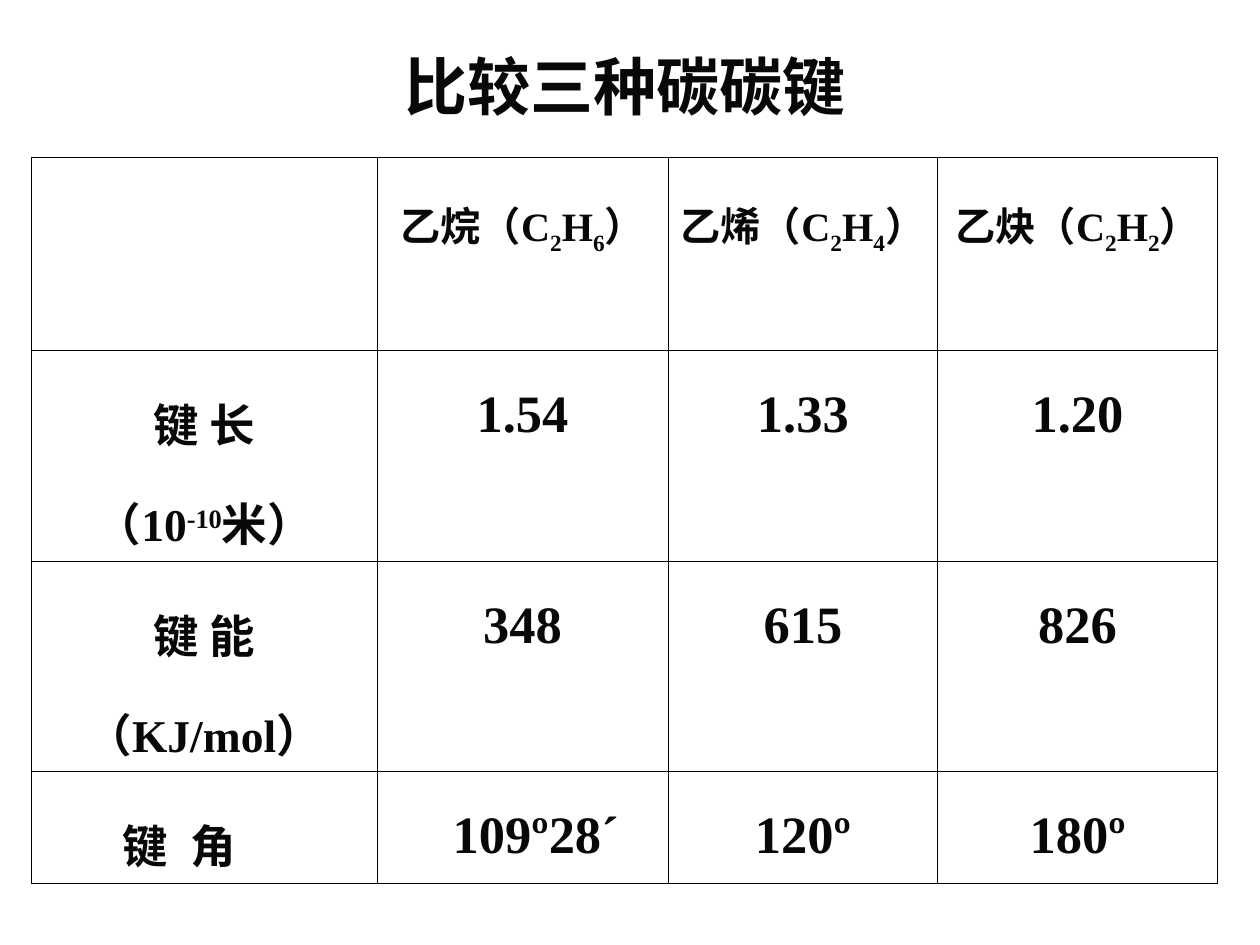
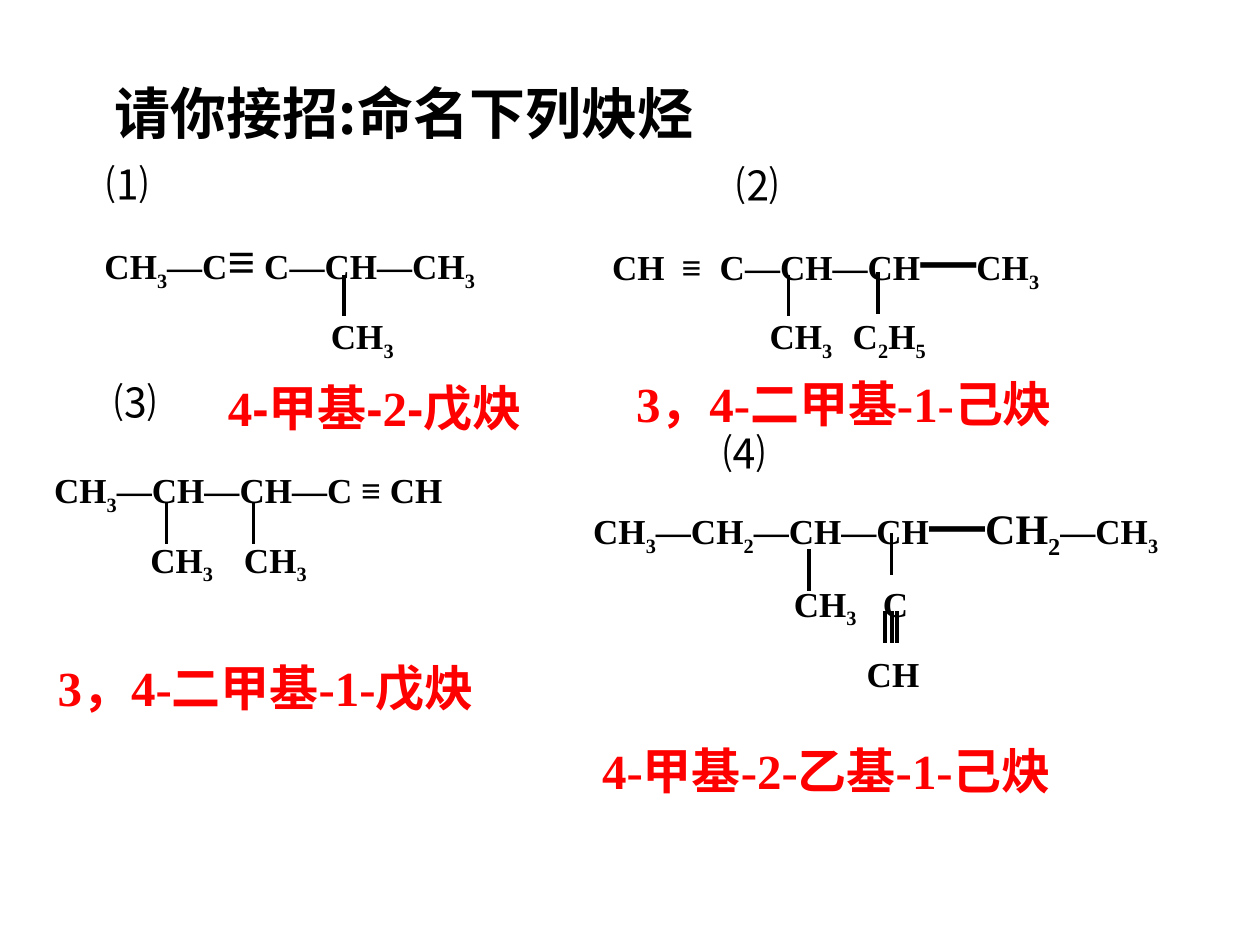
import pptx
import pptx.dml.color
import pptx.enum.shapes
import pptx.enum.text
import pptx.oxml
import pptx.oxml.ns
import pptx.util

Pt = pptx.util.Pt
ALIGN = pptx.enum.text.PP_ALIGN
AUTO = pptx.enum.text.MSO_AUTO_SIZE

BLACK = pptx.dml.color.RGBColor(0x00, 0x00, 0x00)
INK = pptx.dml.color.RGBColor(0x08, 0x08, 0x08)
RED = pptx.dml.color.RGBColor(0xFF, 0x00, 0x00)
BORDER = pptx.dml.color.RGBColor(0x08, 0x00, 0x00)

TIMES, ARIAL = "Times New Roman", "Arial"
SANS_SC, SANS_JP = "Noto Sans CJK SC", "Noto Sans CJK JP"
BORDER_WIDTH = 0.45
BOND_WIDTH = 2
BOND, TRIPLE_BOND = 23.8, 18

# Character formats
FORMULA = {"name": TIMES, "size": Pt(20), "bold": True, "color": BLACK}
LONG_DASH = {"name": ARIAL, "size": Pt(32)}
NUMBER = {"name": SANS_JP, "size": Pt(24), "bold": False, "color": BLACK}
ANSWER = {"name": TIMES, "size": Pt(28), "bold": True, "color": RED}
CELL = {"name": TIMES, "bold": True, "color": INK}
HEAD, LABEL, VALUE = ({**CELL, "size": Pt(n)} for n in (23, 26, 30))

# Paragraph formats
CENTERED = {"alignment": ALIGN.CENTER, "line_spacing": 1.5}
CHAIN = {"space_before": Pt(12.5)}


def set_attributes(target, values):
    for name, value in values.items():
        setattr(target, name, value)


def add_run(p, text, fmt, baseline=0):
    r = p.add_run()
    r.text = text
    set_attributes(r.font, {k: v for k, v in fmt.items() if k != "color"})
    r.font.color.rgb = fmt["color"]
    rPr = r._r.get_or_add_rPr()
    if baseline:
        rPr.set("baseline", str(baseline))
    # East Asian glyphs come from the sans family
    ea = pptx.oxml.ns.qn("a:ea")
    face = fmt["name"] if fmt["name"] in (SANS_SC, SANS_JP) else SANS_SC
    rPr.makeelement(ea)
    latin = rPr.find(pptx.oxml.ns.qn("a:latin"))
    east = rPr.makeelement(ea, {"typeface": face})
    latin.addnext(east)


def write(p, runs, fmt, para=None, tabs=(), indent=0):
    """Text between _ marks is subscript, between ^ marks superscript."""
    set_attributes(p, para or {})
    pPr = p._p.get_or_add_pPr()
    if indent:
        pPr.set("marL", str(Pt(indent)))
    if tabs:
        stops = "".join(f'<a:tab pos="{Pt(t)}" algn="l"/>' for t in tabs)
        ns = pptx.oxml.ns.nsdecls("a")
        pPr.append(pptx.oxml.parse_xml(f"<a:tabLst {ns}>{stops}</a:tabLst>"))
    for run in [(runs, {})] if isinstance(runs, str) else runs:
        text, extra = run
        for i, low in enumerate(text.split("_")):
            for j, part in enumerate(low.split("^")):
                if part:
                    baseline = -25000 if i % 2 else 30000 if j % 2 else 0
                    add_run(p, part, {**fmt, **extra}, baseline)


def frame(sp, wrap=True, auto=AUTO.SHAPE_TO_FIT_TEXT):
    set_attributes(sp.text_frame, {
        "word_wrap": wrap, "auto_size": auto,
        "vertical_anchor": pptx.enum.text.MSO_ANCHOR.TOP,
        "margin_left": Pt(7.2), "margin_right": Pt(7.2),
        "margin_top": Pt(3.6), "margin_bottom": Pt(3.6)})
    return sp.text_frame


def text_box(s, box, runs, fmt, wrap=True):
    tf = frame(s.shapes.add_textbox(*map(Pt, box)), wrap)
    write(tf.paragraphs[0], runs, fmt)


def add_title(s, box, text, font, size, color, align):
    sp = s.shapes.title
    set_attributes(sp, dict(zip(("left", "top", "width", "height"), map(Pt, box))))
    tf = frame(sp, auto=AUTO.NONE)
    fmt = {"name": font, "size": Pt(size), "bold": True, "color": color}
    write(tf.paragraphs[0], text, fmt, {"alignment": align})


def style_cell(cell):
    set_attributes(cell, {"margin_left": Pt(5.8), "margin_right": Pt(5.8),
                          "margin_top": Pt(3.6), "margin_bottom": Pt(3.6)})
    tcPr = cell._tc.get_or_add_tcPr()
    ns = pptx.oxml.ns.nsdecls("a")
    for side in "LRTB":
        tcPr.append(pptx.oxml.parse_xml(
            f'<a:ln{side} {ns} w="{Pt(BORDER_WIDTH)}"><a:solidFill>'
            f'<a:srgbClr val="{BORDER}"/></a:solidFill></a:ln{side}>'))
    cell.fill.background()


def bond_table(s, box, widths, heights, rows):
    table = s.shapes.add_table(len(heights), len(widths), *map(Pt, box)).table
    set_attributes(table, {"first_row": False, "horz_banding": False})
    for col, width in zip(table.columns, widths):
        col.width = Pt(width)
    for row, height in zip(table.rows, heights):
        row.height = Pt(height)
    for r, texts in enumerate(rows):
        for c, text in enumerate(texts):
            cell = table.cell(r, c)
            style_cell(cell)
            fmt = HEAD if r == 0 else LABEL if c == 0 else VALUE
            tf = cell.text_frame
            for i, line in enumerate(text.split("\n")):
                p = tf.add_paragraph() if i else tf.paragraphs[0]
                if line.startswith("\t"):
                    write(p, line, fmt, {"line_spacing": 1.5}, (46.5, 85))
                else:
                    indent = 15 if line.startswith("109") else 0
                    write(p, line, fmt, CENTERED, indent=indent)


def add_bond(s, x, y, length):
    line = s.shapes.add_connector(pptx.enum.shapes.MSO_CONNECTOR.STRAIGHT,
                                  Pt(x), Pt(y), Pt(x), Pt(y + length))
    line.line.color.rgb = BLACK
    line.line.width = Pt(BOND_WIDTH)
    ns = pptx.oxml.ns.nsdecls("a")
    line._element.spPr.append(pptx.oxml.parse_xml(f"<a:effectLst {ns}/>"))


def exercise(s, box, number, number_at, chain, branches, branch_tabs, bonds,
             answer, answer_box, chain_tabs=()):
    """Offsets of the number, bonds and answer count from the formula box."""
    x, y = box[:2]
    text_box(s, (x + number_at[0], y + number_at[1], 50.4, 36), number, NUMBER)
    tf = frame(s.shapes.add_textbox(*map(Pt, box)))
    write(tf.paragraphs[0], chain, FORMULA, CHAIN, chain_tabs)
    write(tf.add_paragraph(), branches, FORMULA, CHAIN, branch_tabs)
    for dx, dy in bonds:
        add_bond(s, x + dx, y + dy, BOND)
    dx, dy, width = answer_box
    text_box(s, (x + dx, y + dy, width, 41), answer, ANSWER, wrap=False)


def alkyne_end(s, x, y):
    """Triple bond going down to a CH group."""
    for dx in (0, 4, 6.8):
        add_bond(s, x + dx, y, TRIPLE_BOND)
    text_box(s, (x - 17.6, y + 20, 69.8, 31.7), "CH", FORMULA)


def comparison_slide(prs):
    s = prs.slides.add_slide(prs.slide_layouts[5])
    add_title(s, (87, 23.8, 540, 50.4), "比较三种碳碳键", SANS_SC, 36, INK,
              ALIGN.CENTER)
    bond_table(s, (18, 90, 678, 340), (197.5, 166.3, 154.1, 159.8),
               (88.6, 97.2, 97.2, 56.9), [
        ("", "乙烷（C_2_H_6_）", "乙烯（C_2_H_4_）", "乙炔（C_2_H_2_）"),
        ("键 长\n（10^-10^米）", "1.54", "1.33", "1.20"),
        ("键 能\n（KJ/mol）", "348", "615", "826"),
        ("\t键\t角", "109º28ˊ", "120º", "180º")])


def naming_slide(prs):
    s = prs.slides.add_slide(prs.slide_layouts[5])
    add_title(s, (58.3, 41, 443.5, 46), "请你接招:命名下列炔烃", SANS_JP, 32,
              BLACK, ALIGN.LEFT)
    exercise(s, (52.6, 128.2, 347, 82.8), "⑴", (1.4, -41.1),
             [("CH_3_—C", {}), ("≡", {"size": Pt(28)}), (" C—CH—CH_3_", {})],
             "\tCH_3_", (129.4,), [(144, 28.8)],
             [("4", {}), ("-甲基-", {"name": ARIAL}), ("2", {}),
              ("-", {"name": ARIAL}), ("戊", {}), ("炔", {"name": SANS_SC})],
             (70.5, 84.2, 202.3))
    exercise(s, (342.7, 124.6, 276.5, 86.4), "⑵", (71.3, -36.8),
             [("CH\t≡\tC—CH—CH", {}), ("—", LONG_DASH), ("CH_3_", {})],
             "\tCH_3_\tC_2_H_5_", (90, 137.5), [(108, 32.4), (159.1, 30.9)],
             "3，4-二甲基-1-己炔", (13.7, 85.6, 285), chain_tabs=(39.8, 61.5))
    exercise(s, (23.8, 264.2, 303.8, 74.2), "⑶", (34.5, -52.5),
             "CH_3_—CH—CH—C ≡ CH",
             "\tCH_3_\tCH_3_", (55, 108.5), [(71.3, 23.1), (121, 23.1)],
             "3，4-二甲基-1-戊炔", (2.1, 108, 285))
    exercise(s, (331.9, 275.8, 364.3, 87.8), "⑷", (74.2, -35.3),
             [("CH_3_—CH_2_—CH—CH", {}), ("—", LONG_DASH),
              ("CH_2_", {"size": Pt(24)}), ("—CH_3_", {})],
             "\tCH_3_\tC", (114.6, 165.5), [(130.3, 38.1), (177.5, 28.8)],
             "4-甲基-2-乙基-1-己炔", (5.1, 144, 303.8))
    alkyne_end(s, 505.8, 349.4)


def main():
    prs = pptx.Presentation()
    prs.slide_width, prs.slide_height = Pt(720), Pt(540)
    comparison_slide(prs)
    naming_slide(prs)
    prs.save("out.pptx")


if __name__ == "__main__":
    main()
